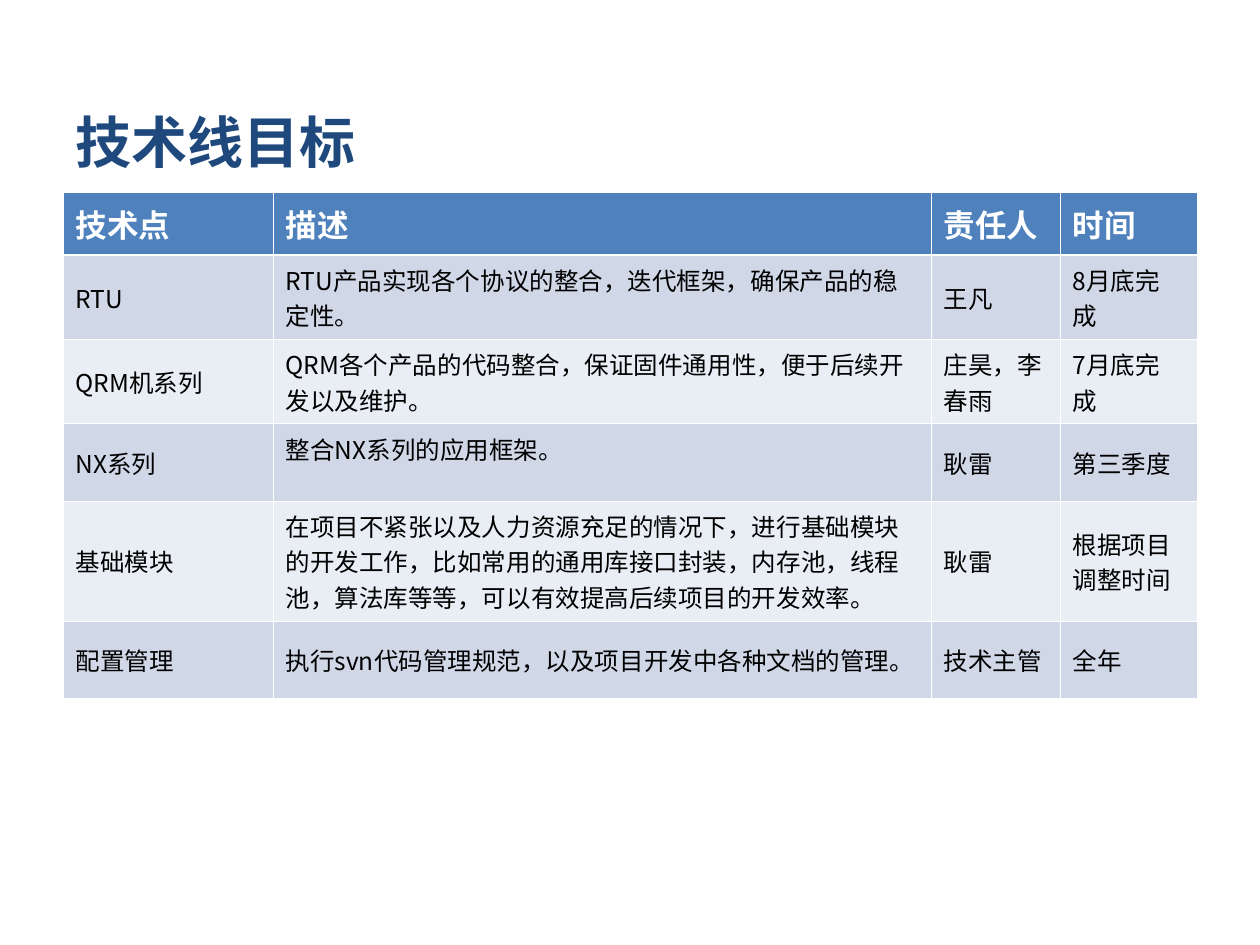
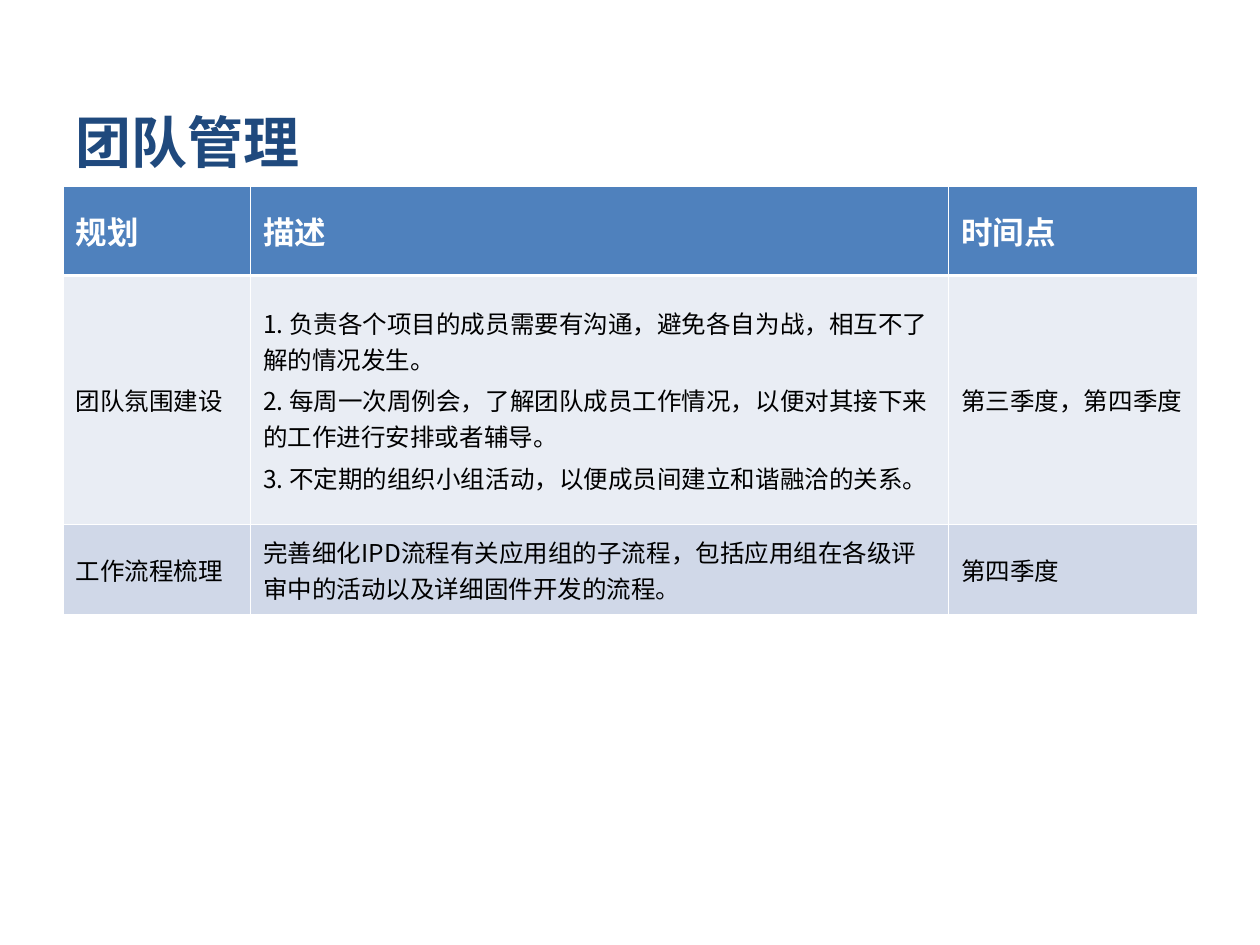
import pptx
import pptx.dml.color
import pptx.enum.text
import pptx.oxml
import pptx.oxml.ns
import pptx.util

Pt = pptx.util.Pt
ANCHOR = pptx.enum.text.MSO_ANCHOR
COLORS = {
    "title": "1F497D", "header": "4F81BD", "dark": "D0D8E8", "light": "E9EDF4",
    "white": "FFFFFF", "text": "000000",
}
CJK = "Noto Sans CJK SC"
TITLE = {"name": "Calibri", "size": Pt(32), "bold": True, "color": "title"}
HEADER = {"name": "Calibri", "size": Pt(18), "bold": True, "color": "white"}
BODY = {"name": CJK, "size": Pt(14), "bold": False, "color": "text"}
LEFT, WIDTH = 36, 648
THIN, THICK = 0.45, 1.47

GOALS = [
    ["技术点", "描述", "责任人", "时间"],
    ["RTU", "RTU产品实现各个协议的整合，迭代框架，确保产品的稳定性。",
     "王凡", "8月底完成"],
    ["QRM机系列", "QRM各个产品的代码整合，保证固件通用性，便于后续开发以及维护。",
     "庄昊，李春雨", "7月底完成"],
    ["NX系列", "整合NX系列的应用框架。", "耿雷", "第三季度"],
    ["基础模块",
     "在项目不紧张以及人力资源充足的情况下，进行基础模块的开发工作，"
     "比如常用的通用库接口封装，内存池，线程池，算法库等等，"
     "可以有效提高后续项目的开发效率。",
     "耿雷", "根据项目调整时间"],
    ["配置管理", "执行svn代码管理规范，以及项目开发中各种文档的管理。",
     "技术主管", "全年"],
]
TEAM = [
    ["规划", "描述", "时间点"],
    ["团队氛围建设",
     "1. 负责各个项目的成员需要有沟通，避免各自为战，相互不了解的情况发生。\n"
     "2. 每周一次周例会，了解团队成员工作情况，以便对其接下来的工作进行安排或者辅导。\n"
     "3. 不定期的组织小组活动，以便成员间建立和谐融洽的关系。",
     "第三季度，第四季度"],
    ["工作流程梳理",
     "完善细化IPD流程有关应用组的子流程，包括应用组在各级评审中的活动以及详细固件开发的流程。",
     "第四季度"],
]


def rgb(name):
    return pptx.dml.color.RGBColor.from_string(COLORS[name])


def write(tf, text, style):
    """Fill a text frame, one paragraph for each line of text."""
    for i, line in enumerate(text.split("\n")):
        p = tf.paragraphs[0] if i == 0 else tf.add_paragraph()
        p.alignment = pptx.enum.text.PP_ALIGN.LEFT
        p.space_before = Pt(3.5 if i else 0)
        r = p.add_run()
        r.text = line
        for key, value in style.items():
            if key == "color":
                r.font.color.rgb = rgb(value)
            else:
                setattr(r.font, key, value)
        ea = pptx.oxml.parse_xml(
            f'<a:ea {pptx.oxml.ns.nsdecls("a")} typeface="{CJK}"/>')
        r.font._element.find(pptx.oxml.ns.qn("a:latin")).addnext(ea)


def add_title_slide(prs, title):
    s = prs.slides.add_slide(prs.slide_layouts[5])
    sp = s.shapes.title
    box = {"left": LEFT, "top": 40.8, "width": WIDTH, "height": 80}
    for key, value in box.items():
        setattr(sp, key, Pt(value))
    tf = sp.text_frame
    tf.auto_size = pptx.enum.text.MSO_AUTO_SIZE.NONE
    tf.vertical_anchor = ANCHOR.MIDDLE
    write(tf, title, TITLE)
    return s


def set_borders(cell, top, bottom):
    tcPr = cell._tc.get_or_add_tcPr()
    widths = {"lnL": THIN, "lnR": THIN, "lnT": top, "lnB": bottom}
    for tag, width in widths.items():
        tcPr.append(pptx.oxml.parse_xml(
            f'<a:{tag} {pptx.oxml.ns.nsdecls("a")} w="{int(Pt(width))}">'
            f'<a:solidFill><a:srgbClr val="{COLORS["white"]}"/></a:solidFill>'
            f'</a:{tag}>'))


def add_plan_table(s, rows, top, widths, heights, bands):
    """Add a table with a header row and body rows in alternating bands."""
    table = s.shapes.add_table(len(rows), len(widths), Pt(LEFT), Pt(top),
                               Pt(WIDTH), Pt(sum(heights))).table
    for column, width in zip(table.columns, widths):
        column.width = Pt(width)
    for i, (texts, height) in enumerate(zip(rows, heights)):
        table.rows[i].height = Pt(height)
        for j, text in enumerate(texts):
            cell = table.cell(i, j)
            set_borders(cell, THICK if i == 1 else THIN,
                        THICK if i == 0 else THIN)
            cell.fill.solid()
            cell.fill.fore_color.rgb = rgb(bands[(i - 1) % 2] if i else "header")
            cell.vertical_anchor = ANCHOR.MIDDLE
            write(cell.text_frame, text, BODY if i else HEADER)
    return table


def main():
    prs = pptx.Presentation()
    prs.slide_width, prs.slide_height = Pt(720), Pt(540)

    s = add_title_slide(prs, "技术线目标")
    goals = add_plan_table(s, GOALS, 109.9, [120, 376.1, 73.7, 78.2],
                           [36, 41, 41, 44.5, 57.5, 44], ["dark", "light"])
    framework = goals.cell(3, 1)
    framework.vertical_anchor = ANCHOR.TOP
    framework.margin_top = Pt(4)
    goals.cell(5, 1).margin_right = Pt(14)

    s = add_title_slide(prs, "团队管理")
    add_plan_table(s, TEAM, 106.7, [107.2, 398.9, 141.9],
                   [50.8, 142.4, 51], ["light", "dark"])

    prs.save("out.pptx")


if __name__ == "__main__":
    main()
